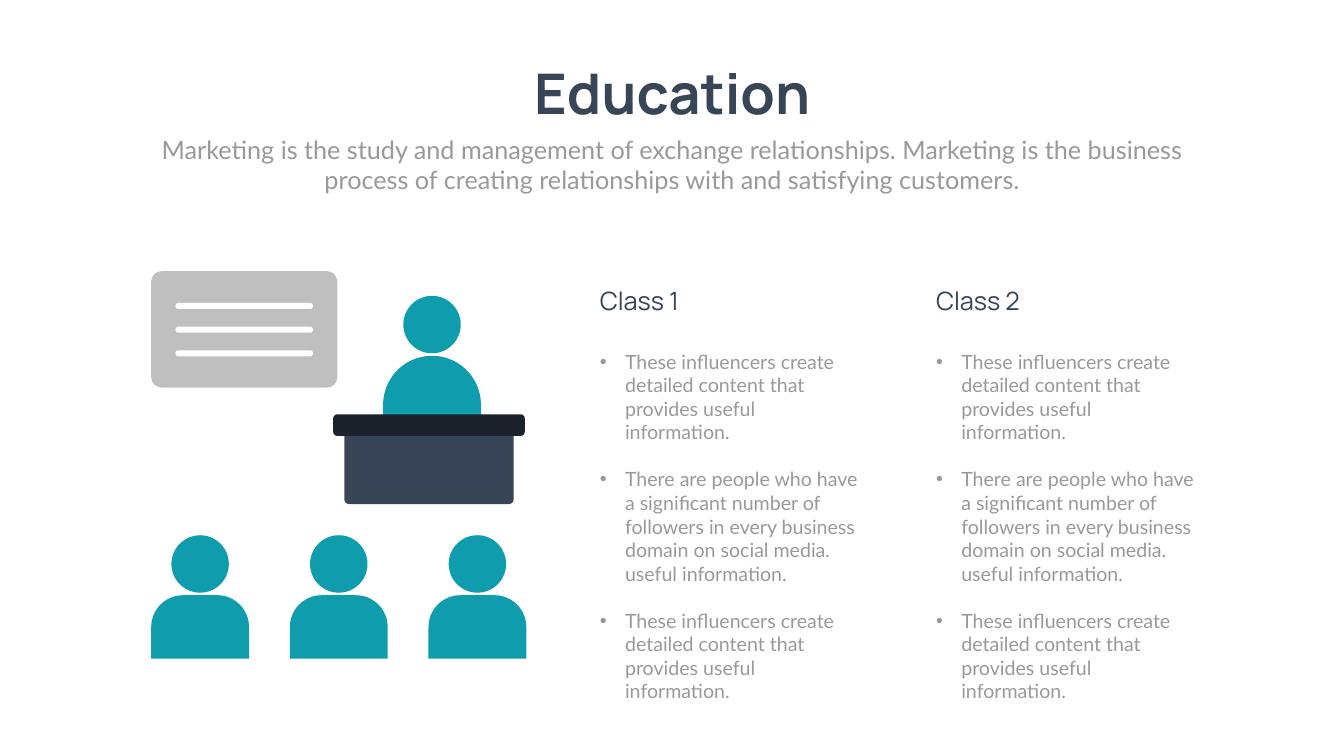
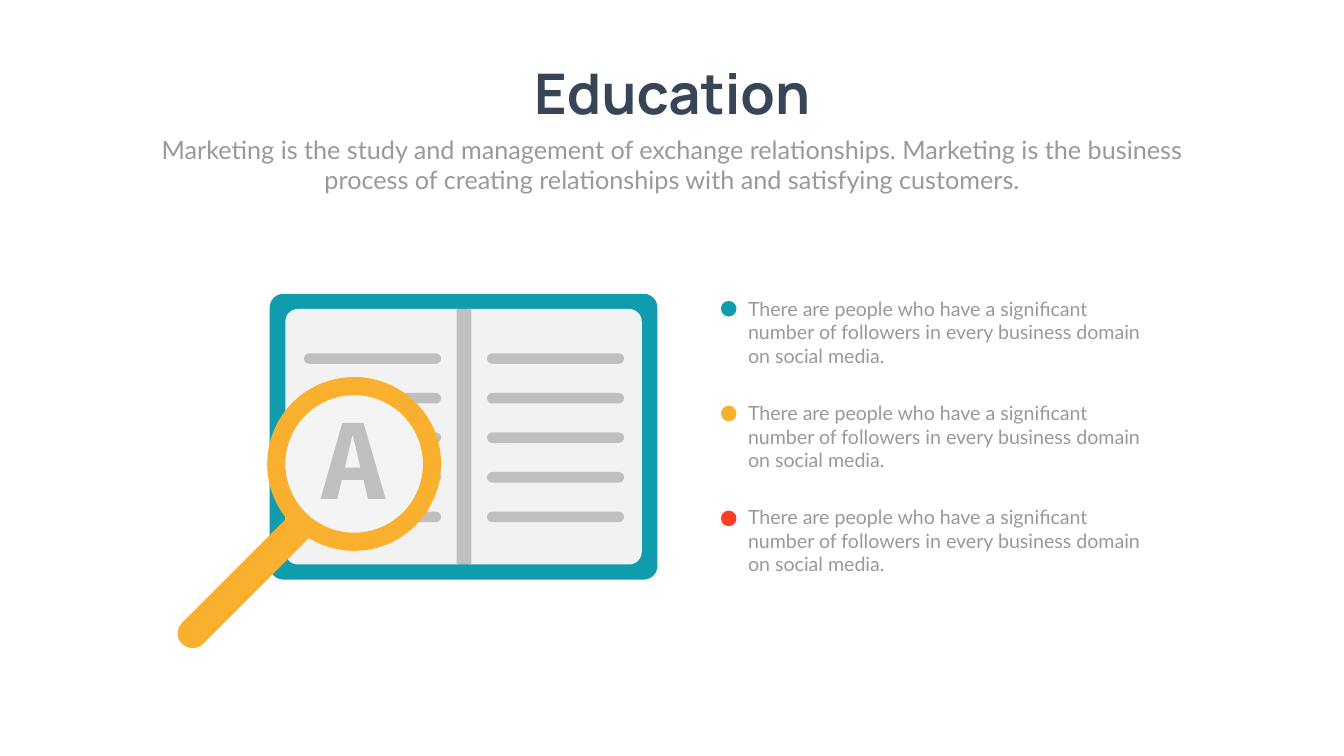
"""Build two education slides: a classroom scene and a book under a magnifier."""
from dataclasses import dataclass

from lxml import etree
from pptx import Presentation
from pptx import util as u
from pptx.dml.color import RGBColor
from pptx.enum import shapes, text
from pptx.oxml import ns

KIND = shapes.MSO_SHAPE


@dataclass(frozen=True)
class Theme:
    """Hold the colours, fonts and type sizes of the deck."""
    paper: str = "FEFFFE"
    white: str = "FFFFFF"
    navy: str = "374556"
    night: str = "1B222B"
    teal: str = "0F9DAD"
    amber: str = "FAB02F"
    red: str = "FD4024"
    grey: str = "BFBFBF"
    page: str = "F2F2F2"
    lens: str = "F4F4F4"
    muted: str = "999999"
    heading_font: str = "Manrope"
    body_font: str = "Lato"
    title_size: int = 80
    lead_size: int = 36
    body_size: int = 28


THEME = Theme()
TITLE = {"name": THEME.heading_font, "size": u.Pt(THEME.title_size), "bold": True}
HEADING = {"name": THEME.heading_font, "size": u.Pt(THEME.lead_size)}
LEAD = {"name": THEME.body_font, "size": u.Pt(THEME.lead_size)}
BODY = {"name": THEME.body_font, "size": u.Pt(THEME.body_size)}

SUBTITLE = ("Marketing is the study and management of exchange relationships. "
            "Marketing is the business process of creating relationships with "
            "and satisfying customers.")
CONTENT = "These influencers create detailed content that provides useful information."
FOLLOWERS = ("There are people who have a significant number of followers "
             "in every business domain on social media.")
CLASS_POINTS = [CONTENT, FOLLOWERS + " useful information.", CONTENT]


def paint(shape, fill):
    """Give a shape a flat fill without line or shadow."""
    shape.shadow.inherit = False
    shape.fill.solid()
    shape.fill.fore_color.rgb = RGBColor.from_string(fill)
    shape.line.fill.background()
    return shape


def add_figure(slide, kind, at, fill, *adjustments):
    """Add a preset shape with its adjustments."""
    shape = paint(slide.shapes.add_shape(kind, *map(u.Inches, at)), fill)
    for index, value in enumerate(adjustments):
        shape.adjustments[index] = value
    return shape


def add_panel(slide, at, fill, radius):
    """Add a rounded rectangle with a corner radius in inches."""
    return add_figure(slide, KIND.ROUNDED_RECTANGLE, at, fill, radius / min(at[2:]))


def add_bars(slide, at, step, count, fill):
    """Add a column of equally spaced round-ended bars."""
    left, top, width, height = at
    for row in range(count):
        add_panel(slide, (left, top + row * step, width, height), fill, height / 2)


def add_bullet(para):
    """Give a paragraph a hanging round bullet."""
    settings = para._p.get_or_add_pPr()
    settings.set("marL", str(u.Inches(0.5)))
    settings.set("indent", str(-u.Inches(0.5)))
    colour = etree.SubElement(settings, ns.qn("a:buClr"))
    etree.SubElement(colour, ns.qn("a:srgbClr"), val=THEME.muted)
    etree.SubElement(settings, ns.qn("a:buFont"), typeface="Arial")
    etree.SubElement(settings, ns.qn("a:buChar"), char="•")


def add_text(slide, at, lines, style, colour, align=text.PP_ALIGN.LEFT, bullets=False):
    """Add a wrapped text box with one paragraph for each line."""
    box = slide.shapes.add_textbox(*map(u.Inches, at))
    frame = box.text_frame
    frame.word_wrap = True
    for index, line in enumerate(lines):
        para = frame.paragraphs[0] if index == 0 else frame.add_paragraph()
        para.alignment = align
        if bullets:
            add_bullet(para)
        if index:
            para.space_before = u.Pt(THEME.body_size * 1.2)
        span = para.add_run()
        span.text = line
        for name, value in style.items():
            setattr(span.font, name, value)
        span.font.color.rgb = RGBColor.from_string(colour)


def add_page(deck):
    """Add a blank slide with the shared title and subtitle."""
    slide = deck.slides.add_slide(deck.slide_layouts[6])
    centre = text.PP_ALIGN.CENTER
    add_text(slide, (10.32, 1.12, 6.03, 1.45), ["Education"], TITLE, THEME.navy, centre)
    add_text(slide, (2.92, 2.61, 20.82, 1.31), [SUBTITLE], LEAD, THEME.muted, centre)
    return slide


def add_person(slide, left, top, body_height):
    """Add a round head above a domed body."""
    add_figure(slide, KIND.ROUND_2_SAME_RECTANGLE,
               (left, top + 1.19, 1.94, body_height), THEME.teal, 0.5, 0)
    add_figure(slide, KIND.OVAL, (left + 0.4, top, 1.14, 1.14), THEME.teal)


def add_classroom(slide):
    """Draw the speaker at the desk, the audience and the board."""
    add_person(slide, 7.6, 5.87, 2.75)
    add_panel(slide, (6.83, 8.25, 3.36, 1.75), THEME.navy, 0.09)
    add_panel(slide, (6.61, 8.22, 3.8, 0.43), THEME.night, 0.08)
    for seat in range(3):
        add_person(slide, 3 + seat * 2.75, 10.62, 1.26)
    add_panel(slide, (3, 5.38, 3.69, 2.31), THEME.grey, 0.21)
    add_bars(slide, (3.48, 6.01, 2.73, 0.12), 0.47, 3, THEME.white)


def add_class(slide, left, heading):
    """Add a class heading above its bulleted points."""
    add_text(slide, (left, 6.89, 5.41, 6.23), CLASS_POINTS, BODY, THEME.muted, bullets=True)
    add_text(slide, (left, 5.61, 5.36, 0.71), [heading], HEADING, THEME.navy)


def add_book_page(slide, left, rotation):
    """Add a book page whose outer corners are rounded."""
    width, height = 3.43, 5.07
    shift = (height - width) / 2
    at = (left - shift, 6.13 + shift, height, width)
    page = add_figure(slide, KIND.ROUND_2_SAME_RECTANGLE, at, THEME.page, 0.25 / width, 0)
    page.rotation = rotation


def add_letter(slide):
    """Draw the enlarged letter A with its counter."""
    outline = [(6.78, 9.52), (6.69, 9.9), (6.36, 9.9), (6.79, 8.39), (7.21, 8.39),
               (7.65, 9.9), (7.3, 9.9), (7.21, 9.52)]
    counter = [(7.15, 9.28), (7, 8.64), (6.99, 8.64), (6.84, 9.28)]
    outline, counter = ([tuple(map(u.Inches, point)) for point in points]
                        for points in (outline, counter))
    builder = slide.shapes.build_freeform(*outline[0])
    builder.add_line_segments(outline[1:], close=True)
    builder.move_to(*counter[0])
    builder.add_line_segments(counter[1:], close=True)
    paint(builder.convert_to_shape(), THEME.grey)


def add_magnifier(slide):
    """Draw the lens, the slanted handle and the ring."""
    add_figure(slide, KIND.OVAL, (5.47, 7.58, 3.11, 3.11), THEME.lens)
    handle = add_panel(slide, (3.09, 11.22, 3.56, 0.59), THEME.amber, 0.295)
    handle.rotation = -45
    add_figure(slide, KIND.DONUT, (5.3, 7.48, 3.45, 3.45), THEME.amber, 0.36 / 3.45)
    add_letter(slide)


def add_book(slide):
    """Draw the open book with its lines, magnifier and spine."""
    add_panel(slide, (5.35, 5.83, 7.69, 5.67), THEME.teal, 0.27)
    add_book_page(slide, 5.66, 270)
    add_book_page(slide, 9.3, 90)
    for left in (9.66, 6.03):
        add_bars(slide, (left, 7.01, 2.72, 0.21), 0.785, 5, THEME.grey)
    add_magnifier(slide)
    add_figure(slide, KIND.RECTANGLE, (9.06, 6.13, 0.29, 5.07), THEME.grey)


def add_legend(slide):
    """Add the notes and their coloured dots."""
    for row, colour in enumerate((THEME.teal, THEME.amber, THEME.red)):
        add_text(slide, (14.74, 5.84 + row * 2.065, 8.15, 1.51), [FOLLOWERS],
                 BODY, THEME.muted)
        add_figure(slide, KIND.OVAL, (14.3, 5.97 + row * 2.08, 0.31, 0.31), colour)


def main():
    """Build and save the deck."""
    deck = Presentation()
    deck.slide_width, deck.slide_height = u.Inches(26.66), u.Inches(15)
    background = deck.slide_master.background.fill
    background.solid()
    background.fore_color.rgb = RGBColor.from_string(THEME.paper)

    classroom = add_page(deck)
    add_classroom(classroom)
    add_class(classroom, 11.8, "Class 1")
    add_class(classroom, 18.47, "Class 2")

    reading = add_page(deck)
    add_book(reading)
    add_legend(reading)
    deck.save("out.pptx")


if __name__ == "__main__":
    main()
